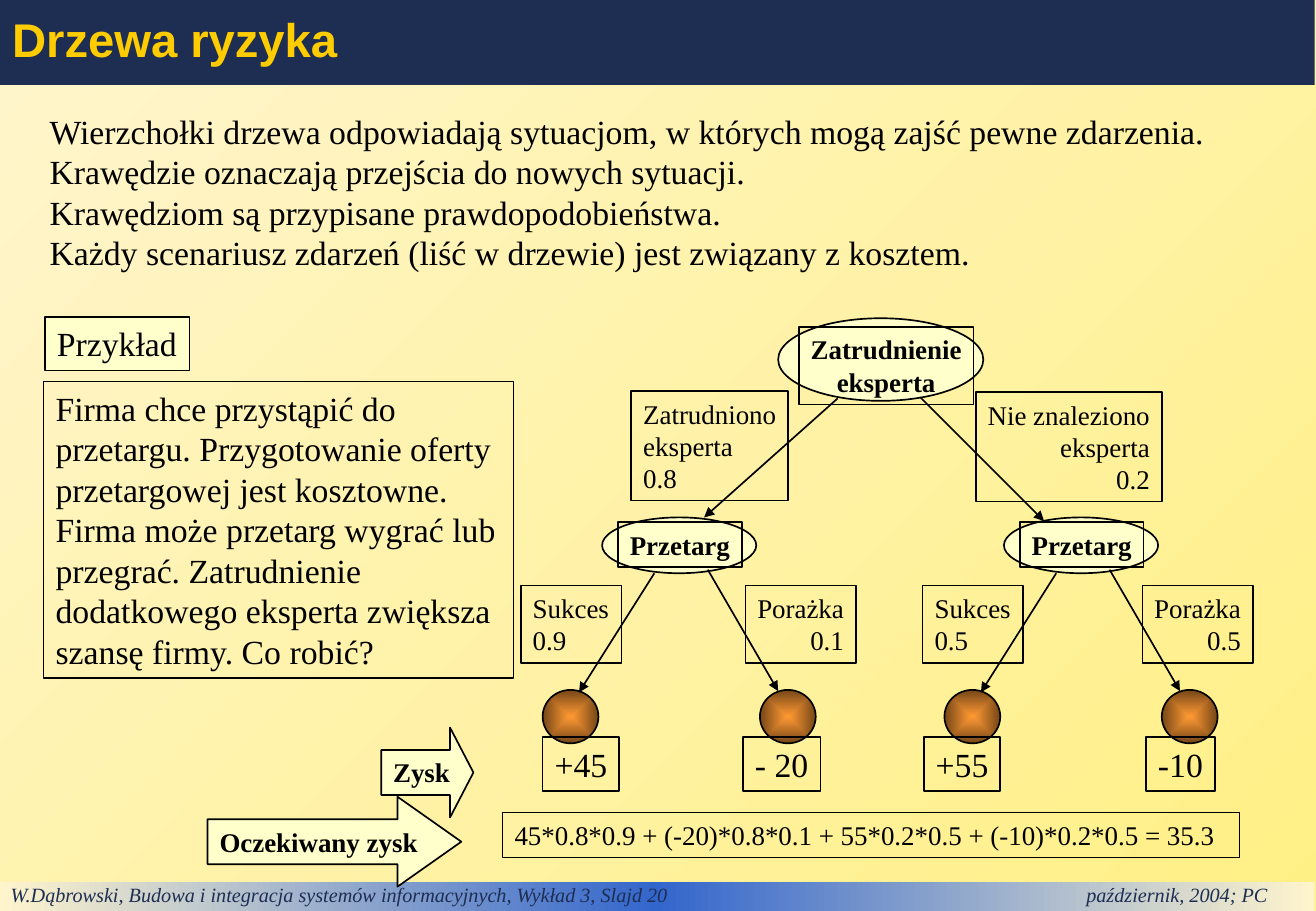
from lxml import etree
from pptx import Presentation
from pptx.dml.color import RGBColor
from pptx.enum.shapes import MSO_CONNECTOR, MSO_SHAPE
from pptx.enum.text import MSO_ANCHOR, MSO_AUTO_SIZE, PP_ALIGN
from pptx.oxml.ns import qn
from pptx.util import Pt

PX = 9144
LEFT, CENTER, RIGHT = PP_ALIGN.LEFT, PP_ALIGN.CENTER, PP_ALIGN.RIGHT
TOP, MIDDLE = MSO_ANCHOR.TOP, MSO_ANCHOR.MIDDLE
GROW, FIXED = MSO_AUTO_SIZE.SHAPE_TO_FIT_TEXT, MSO_AUTO_SIZE.NONE
RECT, OVAL, ARROW = MSO_SHAPE.RECTANGLE, MSO_SHAPE.OVAL, MSO_SHAPE.RIGHT_ARROW
STRAIGHT = MSO_CONNECTOR.STRAIGHT
BLACK, NAVY, GOLD, CREAM = "000000", "1E2E53", "FFCC00", "FFFFCC"
PALE, YELLOW, BLUE = "FFF5CD", "FFF085", "3366CC"
ORANGE, BROWN = "FF9933", "754617"
SERIF, SANS = "Times New Roman", "Arial"
BODY = {"name": SERIF, "size": Pt(20)}
LABEL = {"name": SERIF, "size": Pt(16)}
STRONG = {**LABEL, "bold": True}
SIDE_MARGINS = {LEFT: (10, 0), CENTER: (2, 2), RIGHT: (0, 10)}


def px(*lengths):
    return [length * PX for length in lengths]


def color(code):
    return RGBColor.from_string(code)


def apply(target, values):
    for name, value in values.items():
        setattr(target, name, value)


def gradient(fill, holder, stops, angle=None):
    fill.gradient()
    element = holder.find(".//" + qn("a:gradFill"))
    for child in list(element):
        element.remove(child)
    stop_list = etree.SubElement(element, qn("a:gsLst"))
    for position, code in stops:
        stop = etree.SubElement(stop_list, qn("a:gs"), pos=str(position * 1000))
        etree.SubElement(stop, qn("a:srgbClr"), val=code)
    if angle is None:
        route = etree.SubElement(element, qn("a:path"), path="rect")
        etree.SubElement(route, qn("a:fillToRect"), {side: "50000" for side in "ltrb"})
    else:
        etree.SubElement(element, qn("a:lin"), ang=str(angle * 60000), scaled="1")


def write(shape, lines, font, code=BLACK, align=LEFT, **frame_format):
    frame = shape.text_frame
    margin_left, margin_right = px(*SIDE_MARGINS[align])
    apply(frame, {"margin_left": margin_left, "margin_right": margin_right,
                  "margin_top": 5 * PX, "margin_bottom": 5 * PX,
                  "vertical_anchor": TOP, "word_wrap": True,
                  "auto_size": FIXED, **frame_format})
    for index, line in enumerate(lines):
        para = frame.add_paragraph() if index else frame.paragraphs[0]
        para.alignment = align
        span = para.add_run()
        span.text = line
        apply(span.font, font)
        span.font.color.rgb = color(code)


def add_box(page, box, kind=RECT, fill=None, outline=True):
    shape = page.shapes.add_shape(kind, *px(*box))
    shape.shadow.inherit = False
    if fill:
        shape.fill.solid()
        shape.fill.fore_color.rgb = color(fill)
    else:
        shape.fill.background()
    if outline:
        shape.line.color.rgb = color(BLACK)
        shape.line.width = Pt(1)
    else:
        shape.line.fill.background()
    return shape


def add_edge(page, x1, y1, x2, y2):
    edge = page.shapes.add_connector(STRAIGHT, *px(x1, y1, x2, y2))
    edge.line.color.rgb = color(BLACK)
    edge.line.width = Pt(1)
    etree.SubElement(edge.line._get_or_add_ln(), qn("a:tailEnd"), type="triangle")
    etree.SubElement(edge._element.spPr, qn("a:effectLst"))


def add_footer(page, box):
    bar = add_box(page, box, outline=False)
    gradient(bar.fill, bar._element, [(0, PALE), (50, BLUE), (100, PALE)], 180)
    properties = bar.text_frame.paragraphs[0]._p.get_or_add_pPr()
    tabs = etree.SubElement(properties, qn("a:tabLst"))
    etree.SubElement(tabs, qn("a:tab"), pos=str(886 * PX), algn="l")
    write(bar, ["W.Dąbrowski, Budowa i integracja systemów informacyjnych, "
                "Wykład 3, Slajd 20\tpaździernik, 2004; PC"],
          {"name": SERIF, "size": Pt(12), "italic": True}, NAVY,
          margin_top=0, margin_bottom=4 * PX)


def add_title(page, box):
    title = page.shapes.title
    apply(title, dict(zip(("left", "top", "width", "height"), px(*box))))
    title.fill.solid()
    title.fill.fore_color.rgb = color(NAVY)
    write(title, ["Drzewa ryzyka"], {"name": SANS, "size": Pt(28), "bold": True}, GOLD,
          vertical_anchor=MIDDLE)
    title.text_frame.paragraphs[0].line_spacing = 0.9


def add_intro(page, box):
    write(page.shapes.add_textbox(*px(*box)), [
        "Wierzchołki drzewa odpowiadają sytuacjom, w których mogą zajść pewne zdarzenia.",
        "Krawędzie oznaczają przejścia do nowych sytuacji.",
        "Krawędziom są przypisane prawdopodobieństwa.",
        "Każdy scenariusz zdarzeń (liść w drzewie) jest związany z kosztem.",
    ], BODY, word_wrap=False, auto_size=GROW, margin_right=10 * PX)


def add_example(page, box):
    left, top, width, height = box
    write(add_box(page, (left + 1, top, 119, 44), fill=CREAM), ["Przykład"], BODY)
    write(add_box(page, (left, top + 53, width, height - 53)), [
        "Firma chce przystąpić do przetargu. Przygotowanie oferty przetargowej jest "
        "kosztowne. Firma może przetarg wygrać lub przegrać. Zatrudnienie dodatkowego "
        "eksperta zwiększa szansę firmy. Co robić?"], BODY, margin_right=10 * PX)


def add_tender(page, box, success, failure, failure_left):
    left, top, width, height = box
    add_box(page, (left + 67, top, 127, 46), OVAL, CREAM)
    write(add_box(page, (left + 80, top + 4, 102, 37)), ["Przetarg"], STRONG, align=CENTER)
    for leaf_left in (left + 18, left + 197):
        leaf = add_box(page, (leaf_left, top + height - 44, 46, 44), OVAL)
        gradient(leaf.fill, leaf._element, [(0, ORANGE), (100, BROWN)])
    add_edge(page, left + 110, top + 46, left + 48, top + 144)
    add_edge(page, left + 154, top + 43, left + 212, top + 143)
    write(add_box(page, (left, top + 56, 83, 64)), ["Sukces", success], LABEL)
    write(add_box(page, (left + failure_left, top + 56, width - failure_left, 64)),
          ["Porażka", failure], LABEL, align=RIGHT)


def add_tree(page, box):
    left, top = box[:2]
    add_box(page, (left + 212, top, 169, 68), OVAL, CREAM)
    write(add_box(page, (left + 229, top + 7, 144, 64)),
          ["Zatrudnienie", "eksperta"], STRONG, align=CENTER)
    add_tender(page, (left, top + 164, 276, 186), "0.9", "0.1", 185)
    add_tender(page, (left + 331, top + 164, 272, 186), "0.5", "0.5", 181)
    add_edge(page, left + 261, top + 66, left + 151, top + 164)
    add_edge(page, left + 329, top + 65, left + 431, top + 167)
    write(add_box(page, (left + 91, top + 60, 129, 90)),
          ["Zatrudniono", "eksperta", "0.8"], LABEL)
    write(add_box(page, (left + 375, top + 61, 153, 90)),
          ["Nie znaleziono", "eksperta", "0.2"], LABEL, align=RIGHT)


def add_profits(page, box):
    left, top = box[:2]
    arrows = [("Zysk", 143, 0, 76, 0.26), ("Oczekiwany zysk", 0, 57, 209, 0.71)]
    for text, dx, dy, width, head in arrows:
        arrow = add_box(page, (left + dx, top + dy, width, 74), ARROW, CREAM)
        arrow.adjustments[1] = head
        write(arrow, [text], STRONG)
    profits = [("+45", 276, 63), ("- 20", 441, 64), ("+55", 590, 63), ("-10", 773, 57)]
    for text, dx, width in profits:
        write(add_box(page, (left + dx, top + 8, width, 44)), [text], BODY)
    write(add_box(page, (left + 243, top + 70, 607, 37)),
          ["45*0.8*0.9 + (-20)*0.8*0.1 + 55*0.2*0.5 + (-10)*0.2*0.5 = 35.3"], LABEL)


def main():
    deck = Presentation()
    deck.slide_width, deck.slide_height = px(1084, 750)
    page = deck.slides.add_slide(deck.slide_layouts[5])
    gradient(page.background.fill, page.element, [(0, YELLOW), (100, PALE)], 225)
    add_footer(page, (-1, 726, 1084, 24))
    add_title(page, (0, 0, 1083, 70))
    add_intro(page, (31, 86, 973, 144))
    add_example(page, (36, 261, 387, 297))
    add_tree(page, (429, 262, 603, 350))
    add_profits(page, (171, 599, 850, 131))
    deck.save("out.pptx")


if __name__ == "__main__":
    main()
